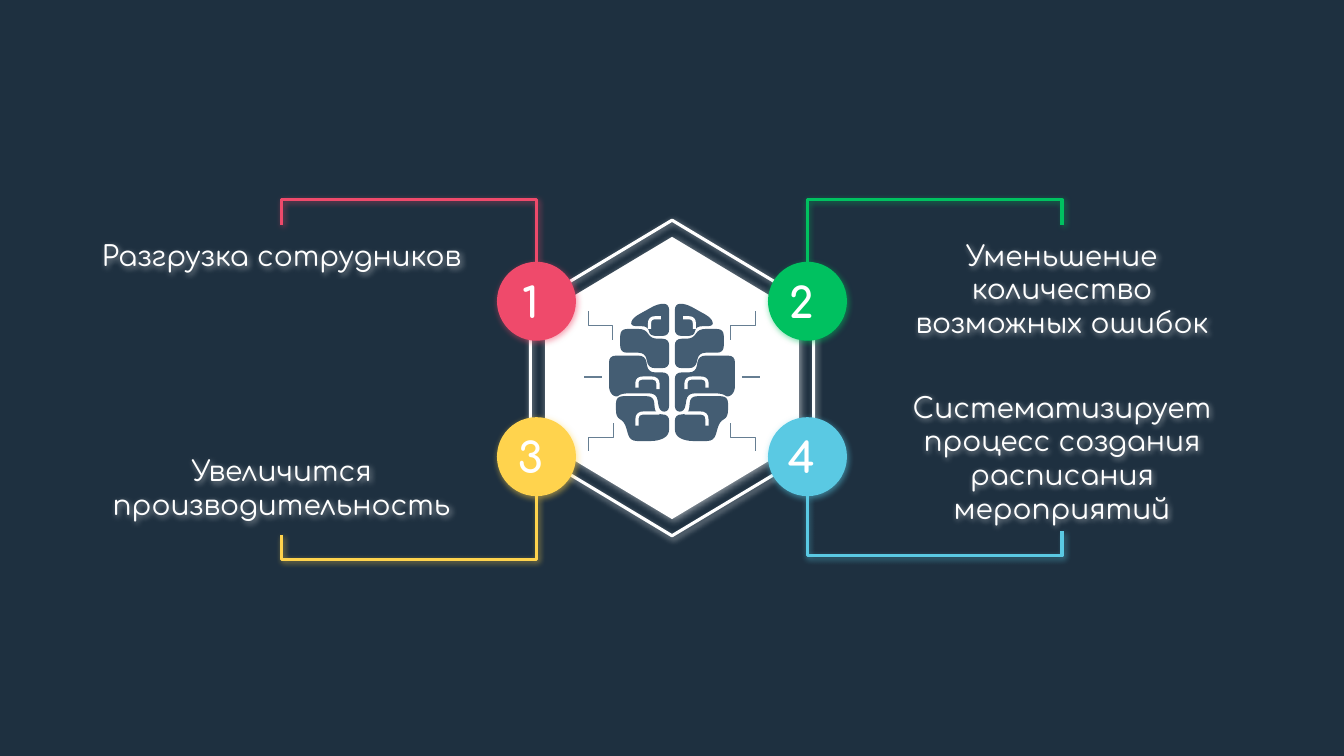
from itertools import product
from math import dist

from lxml.etree import SubElement
from pptx import Presentation
from pptx.dml.color import RGBColor
from pptx.enum.shapes import MSO_CONNECTOR, MSO_SHAPE
from pptx.enum.text import MSO_ANCHOR, MSO_AUTO_SIZE, PP_ALIGN
from pptx.oxml.ns import qn
from pptx.util import Pt

NAVY = RGBColor(0x1E, 0x30, 0x40)
WHITE = RGBColor(0xFF, 0xFF, 0xFF)
RED = RGBColor(0xEF, 0x4A, 0x6B)
GREEN = RGBColor(0x00, 0xC1, 0x60)
YELLOW = RGBColor(0xFF, 0xD3, 0x4D)
BLUE = RGBColor(0x5A, 0xC9, 0xE3)
SLATE = RGBColor(0x44, 0x5D, 0x73)
STEEL = RGBColor(0x66, 0x7E, 0x92)

CENTER, MIDDLE = 480, 270
CIRCLE, CIRCLE_DX, CIRCLE_DY = 56.4, 96.8, 55.5
ARM_DX = 278.6

BRANCHES = [
    ("1 ", -1, -1, 160.6, 1.68, RED),
    ("2 ", 1, -1, 160.6, 1.68, GREEN),
    ("3 ", -1, 1, 382.3, 1.62, YELLOW),
    ("4 ", 1, 1, 379.4, 1.7, BLUE),
]

CAPTIONS = [
    ("Разгрузка сотрудников", 201.2, 160.6, 285.8),
    ("Уменьшение количество возможных ошибок", 758.6, 160.6, 236.9),
    ("Увеличится производительность", 201.2, 314.6, 285.8),
    ("Систематизирует процесс создания расписания мероприятий", 758.6, 269.3, 303.1),
]

LOBES = [
    [(2, 217), (10, 217), (28, 227), (30, 233), (17, 233), (16, 240), (2, 240)],
    [(2, 242), (15, 242), (19, 235), (37, 235), (37, 252), (19, 252), (17, 263), (2, 263)],
    [(2, 266), (17, 266), (19, 254), (45, 254), (45, 280), (40, 284), (36, 281),
     (11, 281), (9, 294), (2, 294)],
    [(2, 296), (12, 296), (13, 283), (40, 283), (40, 298), (34, 301), (30, 315),
     (10, 315), (2, 311)],
]

FOLDS = [
    [(8, 227), (16, 227), (16, 235)],
    [(10, 278), (10, 270), (25, 270), (25, 277)],
    [(9, 295), (25, 295), (25, 304)],
]


def rounded(corners, closed, radius=5, steps=4):
    points = []
    for i, corner in enumerate(corners):
        if not closed and i in (0, len(corners) - 1):
            points.append(corner)
            continue
        ends = []
        for other in (corners[i - 1], corners[(i + 1) % len(corners)]):
            share = min(0.5, radius / dist(corner, other))
            ends.append([c + (o - c) * share for c, o in zip(corner, other)])
        for t in (n / steps for n in range(steps + 1)):
            points.append([(1 - t) ** 2 * a + 2 * t * (1 - t) * c + t * t * b
                           for a, c, b in zip(ends[0], corner, ends[1])])
    return points


class Deck:
    font = "Comfortaa"
    inset = Pt(9.4)

    def __init__(self):
        self.prs = Presentation()
        self.prs.slide_width, self.prs.slide_height = Pt(960), Pt(540)
        self.s = self.prs.slides.add_slide(self.prs.slide_layouts[5])
        self.s.background.fill.solid()
        self.s.background.fill.fore_color.rgb = NAVY

    def effects(self, sp, color=None, blur=4.5):
        effects = SubElement(sp._element.spPr, qn("a:effectLst"))
        if color is not None:
            shadow = SubElement(effects, qn("a:outerShdw"), blurRad=str(Pt(blur)),
                                dist=str(Pt(1.5)), dir="3300000", algn="bl",
                                rotWithShape="0")
            rgb = SubElement(shadow, qn("a:srgbClr"), val=str(color))
            SubElement(rgb, qn("a:alpha"), val="53000")

    def paint(self, sp, fill=None, line=None, width=2.25):
        if fill is None:
            sp.fill.background()
        else:
            sp.fill.solid()
            sp.fill.fore_color.rgb = fill
        if line is None:
            sp.line.fill.background()
        else:
            sp.line.color.rgb = line
            sp.line.width = Pt(width)

    def shape(self, kind, cx, cy, w, h, fill=None, line=None, blur=4.5):
        sp = self.s.shapes.add_shape(kind, Pt(cx - w / 2), Pt(cy - h / 2), Pt(w), Pt(h))
        self.paint(sp, fill, line)
        self.effects(sp, fill or line, blur)
        return sp

    def hexagon(self, w, h, **style):
        sp = self.shape(MSO_SHAPE.HEXAGON, CENTER, MIDDLE, w, h, **style)
        sp.adjustments[0] = 0.3
        sp.rotation = 90

    def text(self, text, cx, y, w, h, size=20, bold=False, anchor=MSO_ANCHOR.TOP, sp=None):
        if sp is None:
            sp = self.s.shapes.add_textbox(0, 0, 0, 0)
        sp.left, sp.top, sp.width, sp.height = Pt(cx - w / 2), Pt(y), Pt(w), Pt(h)
        tf = sp.text_frame
        tf.word_wrap = True
        tf.auto_size = MSO_AUTO_SIZE.NONE
        tf.vertical_anchor = anchor
        tf.margin_left = tf.margin_right = tf.margin_top = tf.margin_bottom = self.inset
        p = tf.paragraphs[0]
        p.alignment = PP_ALIGN.CENTER
        r = p.add_run()
        r.text = text
        r.font.name, r.font.size, r.font.bold = self.font, Pt(size), bold
        r.font.color.rgb = WHITE
        return sp

    def line(self, x1, y1, x2, y2, color, width, kind=MSO_CONNECTOR.STRAIGHT, shadow=None):
        sp = self.s.shapes.add_connector(kind, Pt(x1), Pt(y1), Pt(x2), Pt(y2))
        sp.line.color.rgb = color
        sp.line.width = Pt(width)
        self.effects(sp, shadow)
        return sp

    def bracket(self, x1, y1, x2, y2, color, width, bend=0.5, shadow=None):
        sp = self.line(x1, y1, x2, y2, color, width, MSO_CONNECTOR.ELBOW, shadow)
        w, h = abs(y2 - y1), abs(x2 - x1)
        sp.left, sp.top = Pt((x1 + x2 - w) / 2), Pt((y1 + y2 - h) / 2)
        sp.width, sp.height = Pt(w), Pt(h)
        right, up = x2 > x1, y2 < y1
        xfrm = sp._element.spPr.find(qn("a:xfrm"))
        xfrm.set("rot", "16200000" if right else "5400000")
        xfrm.set("flipH", "1" if right != up else "0")
        xfrm.set("flipV", "0")
        guides = sp._element.spPr.find(qn("a:prstGeom")).find(qn("a:avLst"))
        SubElement(guides, qn("a:gd"), name="adj1", fmla=f"val {round(bend * 100000)}")

    def outline(self, corners, side, closed, **style):
        points = [(Pt(CENTER + side * dx), Pt(y)) for dx, y in rounded(corners, closed)]
        builder = self.s.shapes.build_freeform(*points[0])
        builder.add_line_segments(points[1:], close=closed)
        sp = builder.convert_to_shape()
        self.paint(sp, **style)
        sp.shadow.inherit = False


def main():
    d = Deck()
    d.hexagon(201.6, 181.4, fill=WHITE, blur=5.6)
    d.hexagon(225.4, 202.3, line=WHITE)
    title = d.s.shapes.title
    for number, side, row, end, bend, color in BRANCHES:
        cx, cy = CENTER + side * CIRCLE_DX, MIDDLE + 0.7 + row * CIRCLE_DY
        d.shape(MSO_SHAPE.OVAL, cx, cy, CIRCLE, CIRCLE, fill=color)
        sp = d.text(number, cx, cy - 20.5, 100.8, 41, 30, True, MSO_ANCHOR.MIDDLE, title)
        d.s.shapes._spTree.append(sp._element)
        title = None
        d.bracket(cx, cy + row * CIRCLE / 2, CENTER + side * ARM_DX, end,
                  color, 2.25, bend, color)
    for text, cx, y, w in CAPTIONS:
        d.effects(d.text(text, cx, y, w, 110 if len(text) > 40 else 64), WHITE)
    axis = 272.5
    for side, row in product((-1, 1), repeat=2):
        d.bracket(CENTER + side * 42.1, axis + row * 30, CENTER + side * 59.8,
                  axis + row * 50, STEEL, 0.75)
    for side in (-1, 1):
        d.line(CENTER + side * 50, 269.3, CENTER + side * 63, 269.3, STEEL, 0.75)
        for lobe in LOBES:
            d.outline(lobe, side, True, fill=SLATE)
        for fold in FOLDS:
            d.outline(fold, side, False, line=WHITE)
    d.prs.save("out.pptx")


if __name__ == "__main__":
    main()
